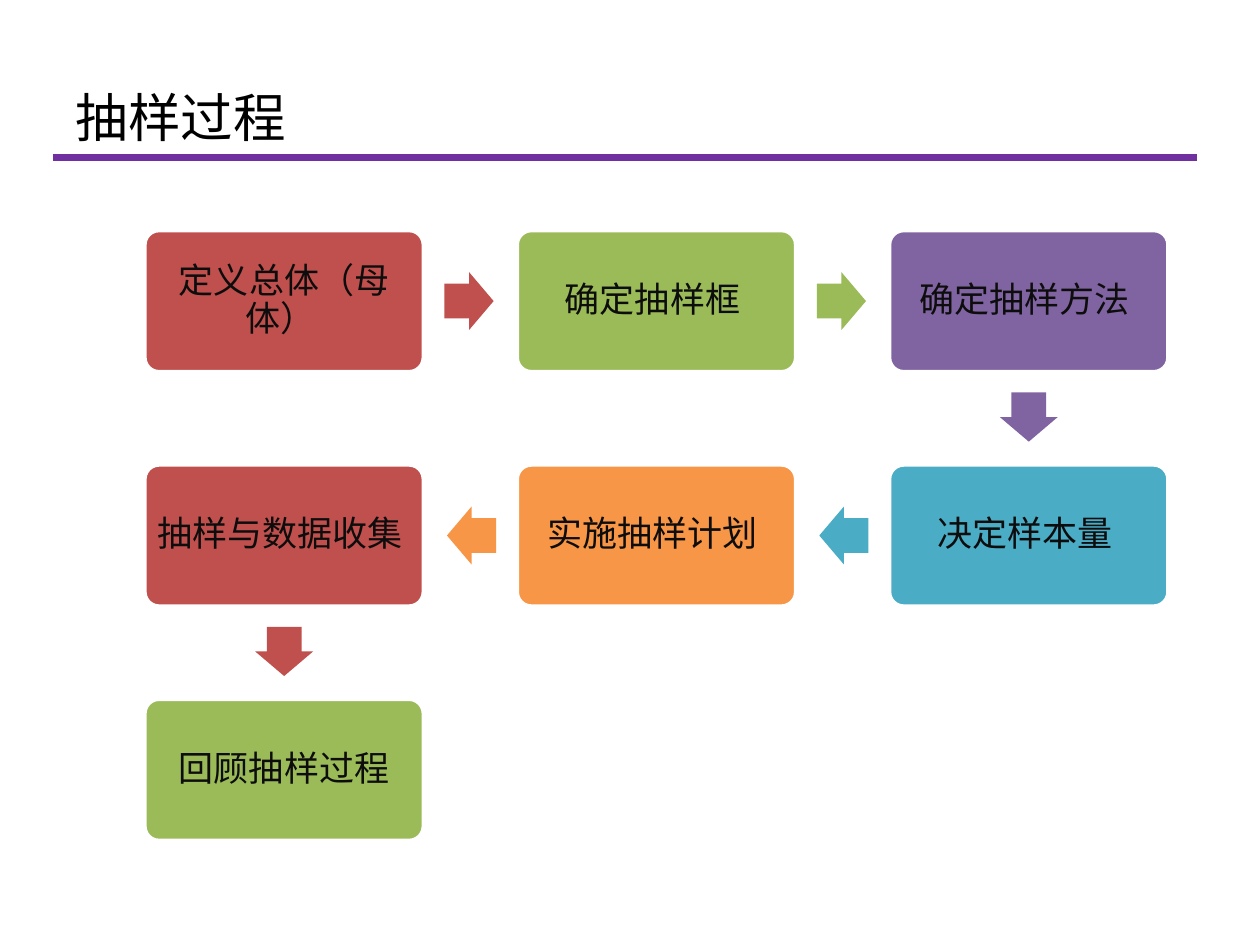
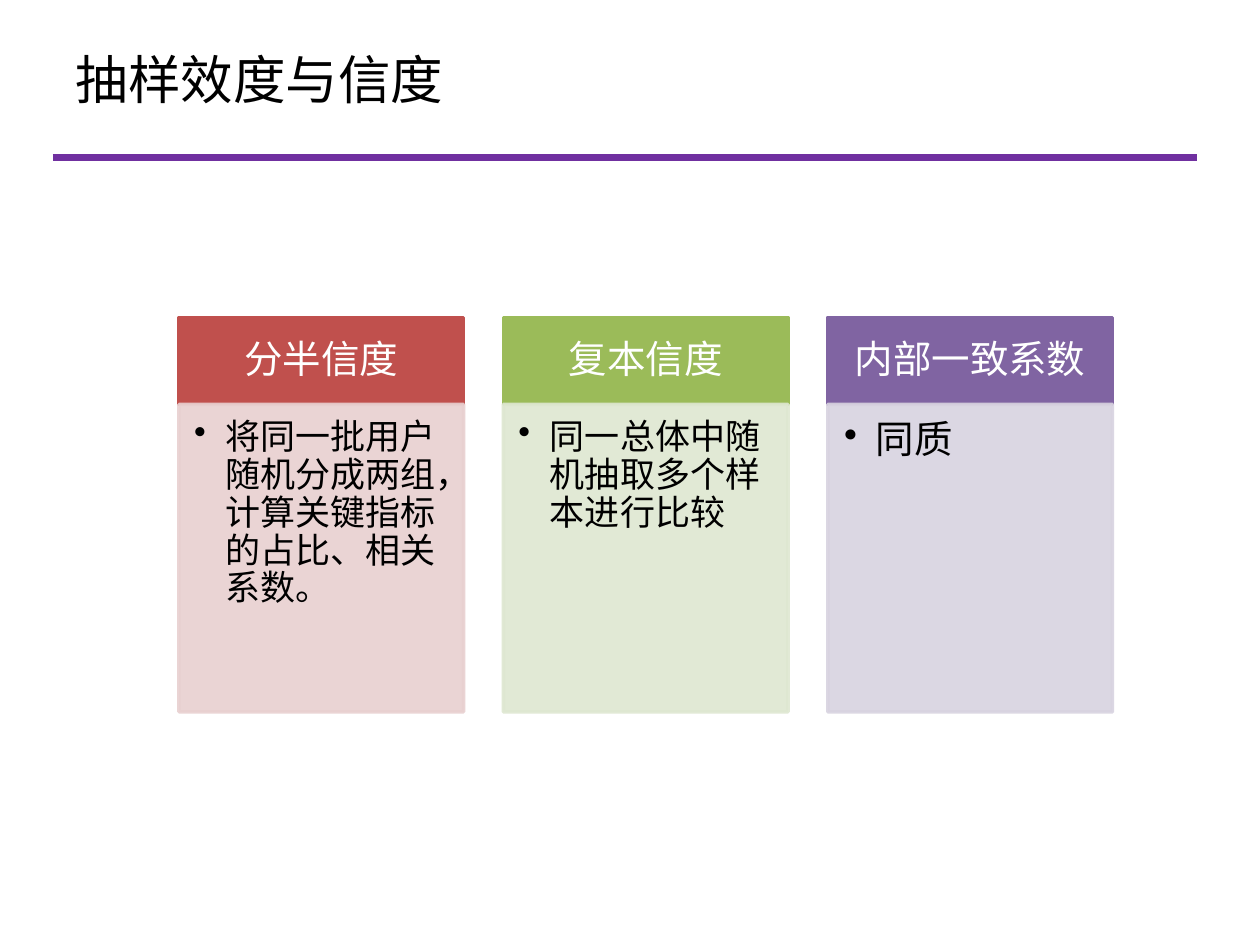
from dataclasses import dataclass

from lxml import etree
from pptx import Presentation
from pptx.dml.color import RGBColor
from pptx.enum.shapes import MSO_CONNECTOR, MSO_SHAPE
from pptx.enum.text import MSO_ANCHOR, MSO_AUTO_SIZE, PP_ALIGN
from pptx.oxml.ns import qn
from pptx.util import Inches, Pt

ROUNDED, RECTANGLE = MSO_SHAPE.ROUNDED_RECTANGLE, MSO_SHAPE.RECTANGLE
ARROW, STRAIGHT = MSO_SHAPE.RIGHT_ARROW, MSO_CONNECTOR.STRAIGHT
TOP, MIDDLE = MSO_ANCHOR.TOP, MSO_ANCHOR.MIDDLE
LEFT, CENTER = PP_ALIGN.LEFT, PP_ALIGN.CENTER
NO_AUTOFIT = MSO_AUTO_SIZE.NONE
TITLE_ONLY = 5


@dataclass(frozen=True)
class Theme:
    font: str = "Noto Sans CJK SC"
    # Colours
    rule: str = "7030A0"
    black: str = "000000"
    ink: str = "0D0D0D"
    white: str = "FFFFFF"
    red: str = "C0504D"
    green: str = "9BBB59"
    purple: str = "8064A2"
    teal: str = "4BACC6"
    orange: str = "F79646"
    pale_red: str = "E8D0D0"
    pale_green: str = "DEE7D1"
    pale_purple: str = "D8D3E0"
    panel_opacity: int = 90
    # Sizes in points
    title_size: int = 30
    heading_size: int = 22
    text_size: int = 20
    outline: int = 2
    rule_width: float = 3.75


THEME = Theme()


class Deck:
    """Holds the style, the presentation and the current slide."""

    def __init__(self, theme):
        self.theme = theme
        self.prs = Presentation()
        self.prs.slide_width, self.prs.slide_height = Inches(10), Inches(7.5)
        self.slide = None

    def new_slide(self, title, title_top):
        self.slide = self.prs.slides.add_slide(self.prs.slide_layouts[TITLE_ONLY])
        self.rule()
        heading = self.slide.shapes.title
        heading.left, heading.top = Inches(0.5), Inches(title_top)
        heading.width, heading.height = Inches(9), Inches(1.25)
        frame = heading.text_frame
        frame.auto_size = NO_AUTOFIT
        frame.vertical_anchor = MIDDLE
        frame.paragraphs[0].alignment = LEFT
        self.run(frame.paragraphs[0], title, self.theme.title_size, self.theme.black)

    def rule(self):
        line = self.slide.shapes.add_connector(
            STRAIGHT, Inches(0.42), Inches(1.25), Inches(9.5), Inches(1.25))
        line.line.color.rgb = RGBColor.from_string(self.theme.rule)
        line.line.width = Pt(self.theme.rule_width)
        etree.SubElement(line._element.spPr, qn("a:effectLst"))

    def run(self, paragraph, text, size, color):
        run = paragraph.add_run()
        run.text = text
        run.font.size = Pt(size)
        run.font.color.rgb = RGBColor.from_string(color)
        run.font.name = self.theme.font
        east_asian = etree.SubElement(run.font._element, qn("a:ea"))
        east_asian.set("typeface", self.theme.font)

    def shape(self, kind, box, fill, outline=None, opacity=100):
        shape = self.slide.shapes.add_shape(kind, *(Inches(length) for length in box))
        shape.shadow.inherit = False
        shape.fill.solid()
        shape.fill.fore_color.rgb = RGBColor.from_string(fill)
        if outline:
            shape.line.color.rgb = RGBColor.from_string(outline)
            shape.line.width = Pt(self.theme.outline)
        else:
            shape.line.fill.background()
        if opacity < 100:
            for color in shape._element.spPr.iter(qn("a:srgbClr")):
                etree.SubElement(color, qn("a:alpha")).set("val", str(opacity * 1000))
        return shape

    def label(self, shape, text, size, color, insets, anchor=MIDDLE,
              align=CENTER, after=0.35, bullet=False):
        frame = shape.text_frame
        frame.word_wrap = True
        frame.vertical_anchor = anchor
        (frame.margin_left, frame.margin_top,
         frame.margin_right, frame.margin_bottom) = (Inches(inset) for inset in insets)
        paragraph = frame.paragraphs[0]
        paragraph.alignment = align
        paragraph.line_spacing = 0.9
        paragraph.space_after = Pt(size * after)
        if bullet:
            properties = paragraph._p.get_or_add_pPr()
            properties.set("marL", str(Inches(0.25)))
            properties.set("indent", str(-Inches(0.25)))
            etree.SubElement(properties, qn("a:buChar")).set("char", "•")
        self.run(paragraph, text, size, color)

    def step(self, text, box, fill):
        shape = self.shape(ROUNDED, box, fill, self.theme.white)
        shape.adjustments[0] = 0.1
        self.label(shape, text, self.theme.text_size, self.theme.ink, [0.05] * 4)

    def arrow(self, center_x, center_y, angle, fill):
        width, height = 0.39, 0.46
        box = (center_x - width / 2, center_y - height / 2, width, height)
        shape = self.shape(ARROW, box, fill)
        shape.adjustments[0], shape.adjustments[1] = 0.6, 0.5
        shape.rotation = angle

    def column_heading(self, text, box, fill):
        shape = self.shape(RECTANGLE, box, fill, fill)
        self.label(shape, text, self.theme.heading_size, self.theme.white,
                   [0.17, 0.1, 0.17, 0.1])

    def column_panel(self, text, box, fill, size, insets):
        shape = self.shape(RECTANGLE, box, fill, fill, self.theme.panel_opacity)
        self.label(shape, text, size, self.theme.black, insets,
                   TOP, LEFT, after=0.15, bullet=True)


def sampling_process(deck):
    deck.new_slide("抽样过程", 0.3)
    theme = deck.theme
    # Each step: text, colour, grid column and row
    steps = [
        ("定义总体（母体） ", theme.red, 0, 0),
        ("确定抽样框 ", theme.green, 1, 0),
        ("确定抽样方法 ", theme.purple, 2, 0),
        ("决定样本量 ", theme.teal, 2, 1),
        ("实施抽样计划 ", theme.orange, 1, 1),
        ("抽样与数据收集 ", theme.red, 0, 1),
        ("回顾抽样过程", theme.green, 0, 2),
    ]
    width, height = 2.21, 1.12
    left, top, pitch_x, pitch_y = 1.15, 1.83, 2.955, 1.86
    angles = {(1, 0): 0, (0, 1): 90, (-1, 0): 180}
    setback = 0.01  # arrows sit slightly nearer the step they leave

    for text, color, column, row in steps:
        box = (left + column * pitch_x, top + row * pitch_y, width, height)
        deck.step(text, box, color)

    # Arrows lie halfway between consecutive steps
    for (_, color, column, row), (_, _, next_column, next_row) in zip(steps, steps[1:]):
        dx, dy = next_column - column, next_row - row
        center_x = left + width / 2 + (column + dx / 2) * pitch_x - dx * setback
        center_y = top + height / 2 + (row + dy / 2) * pitch_y - dy * setback
        deck.arrow(center_x, center_y, angles[dx, dy], color)


def validity_and_reliability(deck):
    deck.new_slide("抽样效度与信度", 0)
    theme = deck.theme
    insets, wide_insets = [0.12, 0.12, 0.16, 0.17], [0.13, 0.13, 0.17, 0.19]
    columns = [
        ("分半信度", "将同一批用户随机分成两组，计算关键指标的占比、相关系数。",
         theme.red, theme.pale_red, theme.text_size, insets),
        ("复本信度", "同一总体中随机抽取多个样本进行比较",
         theme.green, theme.pale_green, theme.text_size, insets),
        ("内部一致系数", "同质",
         theme.purple, theme.pale_purple, theme.heading_size, wide_insets),
    ]
    for index, (heading, detail, color, pale, size, margins) in enumerate(columns):
        left = 1.42 + index * 2.575
        deck.column_heading(heading, (left, 2.52, 2.26, 0.69), color)
        deck.column_panel(detail, (left, 3.21, 2.26, 2.44), pale, size, margins)


def main():
    deck = Deck(THEME)
    sampling_process(deck)
    validity_and_reliability(deck)
    deck.prs.save("out.pptx")


if __name__ == "__main__":
    main()
